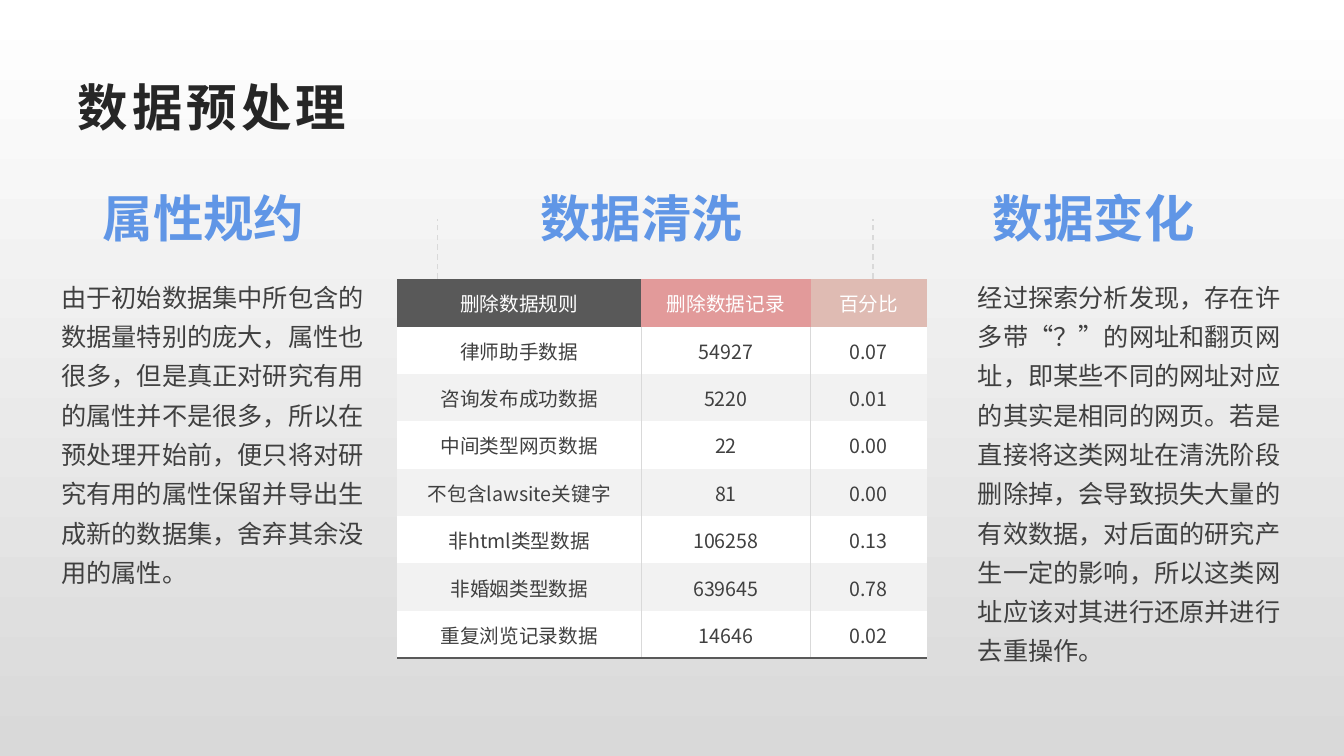
from lxml import etree
from pptx import Presentation
from pptx.dml.color import RGBColor
from pptx.enum.dml import MSO_LINE
from pptx.enum.lang import MSO_LANGUAGE_ID
from pptx.enum.shapes import MSO_CONNECTOR
from pptx.enum.text import MSO_ANCHOR, MSO_AUTO_SIZE, PP_ALIGN
from pptx.oxml.ns import qn
from pptx.util import Inches, Pt

LEFT, CENTER = PP_ALIGN.LEFT, PP_ALIGN.CENTER
TOP, MIDDLE = MSO_ANCHOR.TOP, MSO_ANCHOR.MIDDLE
DASH, STRAIGHT = MSO_LINE.DASH, MSO_CONNECTOR.STRAIGHT
CHINESE = MSO_LANGUAGE_ID.SIMPLIFIED_CHINESE
NO_AUTOFIT = MSO_AUTO_SIZE.NONE
TITLE_ONLY_LAYOUT = 5
PLAIN_TABLE_STYLE = "{2D5ABB26-0587-4C30-8999-92F81FD0307C}"
LATIN_FONT, CHINESE_FONT = "Arial", "Noto Sans CJK SC"

COLORS = {
    "white": "FFFFFF", "background_end": "D9D9D9", "title": "262626",
    "heading": "6096E6", "body": "404040", "rule": "D9D9D9", "band": "F2F2F2",
    "dark": "595959", "rose": "E29A9A", "blush": "DFBBB3",
}

REDUCTION_TEXT = (
    "由于初始数据集中所包含的数据量特别的庞大，属性也很多，但是真正对研究有用的属性并不是很多，"
    "所以在预处理开始前，便只将对研究有用的属性保留并导出生成新的数据集，舍弃其余没用的属性。")
TRANSFORM_TEXT = (
    "经过探索分析发现，存在许多带“？”的网址和翻页网址，即某些不同的网址对应的其实是相同的网页。"
    "若是直接将这类网址在清洗阶段删除掉，会导致损失大量的有效数据，对后面的研究产生一定的影响，"
    "所以这类网址应该对其进行还原并进行去重操作。")
CLEANING_ROWS = [
    ("删除数据规则", "删除数据记录", "百分比"),
    ("律师助手数据", "54927", "0.07"),
    ("咨询发布成功数据", "5220", "0.01"),
    ("中间类型网页数据", "22", "0.00"),
    ("不包含lawsite关键字", "81", "0.00"),
    ("非html类型数据", "106258", "0.13"),
    ("非婚姻类型数据", "639645", "0.78"),
    ("重复浏览记录数据", "14646", "0.02"),
]
HEADER_FILLS = ("dark", "rose", "blush")
COLUMN_WIDTHS = (2.42, 1.68, 1.15)
DIVIDER_WIDTHS = (1, 0.5)


def color(name):
    return RGBColor.from_string(COLORS[name])


def write_text(frame, text, size, fill, font=LATIN_FONT, bold=False, align=LEFT,
               anchor=TOP, line_spacing=None, tracking=None):
    frame.word_wrap = True
    frame.vertical_anchor = anchor
    paragraph = frame.paragraphs[0]
    paragraph.alignment = align
    paragraph.line_spacing = line_spacing
    run = paragraph.add_run()
    run.text = text
    run.font.name, run.font.size, run.font.bold = font, Pt(size), bold
    run.font.color.rgb = color(fill)
    run.font.language_id = CHINESE
    properties = run.font._element
    etree.SubElement(properties, qn("a:ea"), typeface=CHINESE_FONT)
    if tracking:
        properties.set("spc", str(tracking * 100))


def add_text(slide, box, text, **text_format):
    shape = slide.shapes.add_textbox(*map(Inches, box))
    write_text(shape.text_frame, text, **text_format)


def set_background(slide):
    fill = slide.background.fill
    fill.gradient()
    fill.gradient_angle = 270
    for stop, position, name in zip(fill.gradient_stops, (0, 1), ("white", "background_end")):
        stop.position = position
        stop.color.rgb = color(name)


def set_title(slide, box, text):
    title = slide.shapes.title
    title.left, title.top, title.width, title.height = map(Inches, box)
    title.text_frame.auto_size = NO_AUTOFIT
    write_text(title.text_frame, text, size=36, fill="title", bold=True,
               anchor=MIDDLE, tracking=3)


def add_heading(slide, left, text):
    add_text(slide, (left, 1.81, 3.32, 1.44), text, size=36, fill="heading", bold=True)


def add_description(slide, left, width, text):
    add_text(slide, (left, 2.66, width, 2.81), text, size=18, fill="body", line_spacing=1.3)


def add_divider(slide, x, top, bottom):
    line = slide.shapes.add_connector(STRAIGHT, Inches(x), Inches(bottom), Inches(x), Inches(top))
    line.line.color.rgb = color("rule")
    line.line.width = Pt(1)
    line.line.dash_style = DASH
    etree.SubElement(line._element.spPr, qn("a:effectLst"))


def set_borders(cell, borders):
    """Draw borders given as {side: (color name, points)}, sides in L, R, T, B order."""
    properties = cell._tc.get_or_add_tcPr()
    for index, (side, (name, points)) in enumerate(borders.items()):
        line = etree.Element(qn(f"a:ln{side}"), w=str(Pt(points)))
        fill = etree.SubElement(line, qn("a:solidFill"))
        etree.SubElement(fill, qn("a:srgbClr"), val=COLORS[name])
        properties.insert(index, line)


def cell_borders(row, column):
    borders = {}
    if row > 0:
        if column > 0:
            borders["L"] = ("rule", DIVIDER_WIDTHS[column - 1])
        if column < len(DIVIDER_WIDTHS):
            borders["R"] = ("rule", DIVIDER_WIDTHS[column])
    if row == len(CLEANING_ROWS) - 1:
        borders["B"] = ("dark", 1.5)
    return borders


def add_cleaning_table(slide, box):
    table = slide.shapes.add_table(
        len(CLEANING_ROWS), len(COLUMN_WIDTHS), *map(Inches, box)).table
    table.first_row = table.horz_banding = False
    table._tbl.tblPr.find(qn("a:tableStyleId")).text = PLAIN_TABLE_STYLE
    for column, width in zip(table.columns, COLUMN_WIDTHS):
        column.width = Inches(width)
    for row, values in enumerate(CLEANING_ROWS):
        for column, value in enumerate(values):
            cell = table.cell(row, column)
            cell.margin_left = cell.margin_right = cell.margin_top = Inches(0.01)
            cell.margin_bottom = 0
            cell.vertical_anchor = MIDDLE
            cell.fill.solid()
            band = "white" if row % 2 else "band"
            cell.fill.fore_color.rgb = color(band if row else HEADER_FILLS[column])
            write_text(cell.text_frame, value, size=14, fill="body" if row else "white",
                       font=CHINESE_FONT, align=CENTER, anchor=None)
            set_borders(cell, cell_borders(row, column))


def build_preprocessing_slide(presentation):
    slide = presentation.slides.add_slide(presentation.slide_layouts[TITLE_ONLY_LAYOUT])
    set_background(slide)
    set_title(slide, (0.67, 0.67, 12, 0.77), "数据预处理")
    for left, heading in ((0.92, "属性规约"), (5.26, "数据清洗"), (9.75, "数据变化")):
        add_heading(slide, left, heading)
    add_description(slide, 0.51, 3.32, REDUCTION_TEXT)
    add_description(slide, 9.6, 3.44, TRANSFORM_TEXT)
    for x in (4.34, 8.66):
        add_divider(slide, x, 2.17, 6.53)
    add_cleaning_table(slide, (3.94, 2.77, 5.25, 3.76))


def main():
    presentation = Presentation()
    presentation.slide_width, presentation.slide_height = Inches(13.33), Inches(7.5)
    build_preprocessing_slide(presentation)
    presentation.save("out.pptx")


if __name__ == "__main__":
    main()
